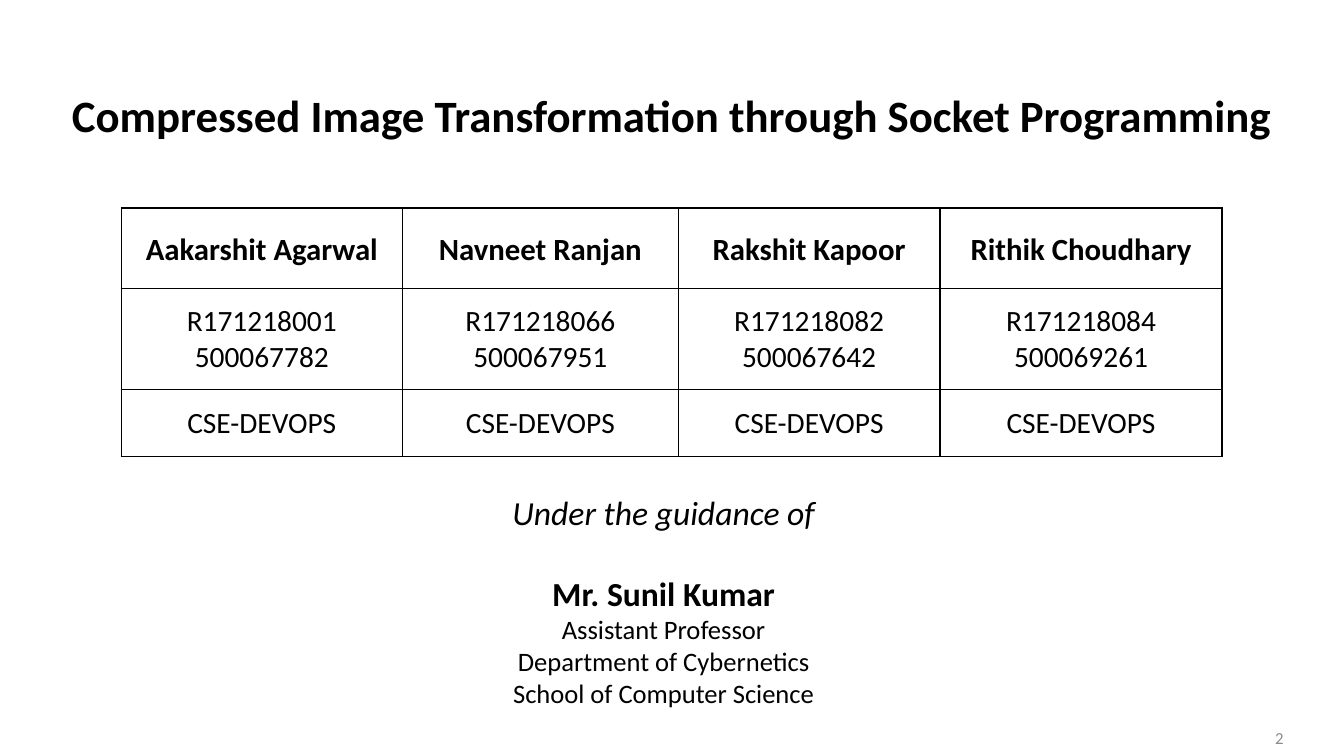
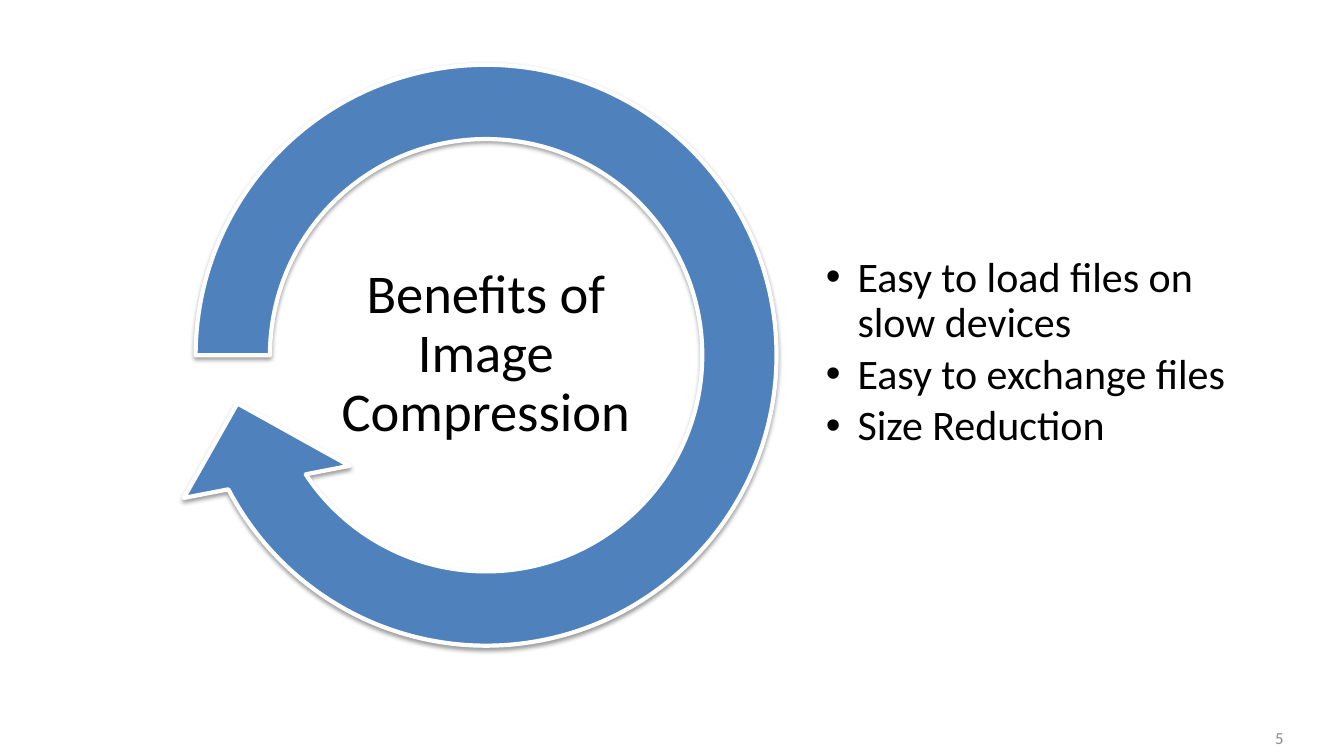
from lxml import etree
from pptx import Presentation
from pptx import util as u
from pptx.dml import color
from pptx.enum import shapes, text
from pptx.oxml import ns

FONT = "Calibri"
BLACK, WHITE, GREY, BLUE = "000000", "FFFFFF", "8C8C8C", "4F81BD"
CENTER, LEFT, RIGHT = text.PP_ALIGN.CENTER, text.PP_ALIGN.LEFT, text.PP_ALIGN.RIGHT
TOP, MIDDLE = text.MSO_ANCHOR.TOP, text.MSO_ANCHOR.MIDDLE


def rgb(value):
    return color.RGBColor.from_string(value)


def child(parent, tag, **attributes):
    names = {name: str(value) for name, value in attributes.items()}
    return etree.SubElement(parent, ns.qn(tag), names)


def write(paragraph, content, size, align=CENTER, hue=BLACK, bold=False,
          italic=False, spacing=None, before=0, after=0):
    paragraph.alignment = align
    paragraph.space_before = u.Pt(before)
    paragraph.space_after = u.Pt(after)
    if spacing:
        paragraph.line_spacing = spacing
    run = paragraph.add_run()
    run.text = content
    font = run.font
    font.name, font.size, font.bold, font.italic = FONT, u.Pt(size), bold, italic
    font.color.rgb = rgb(hue)


def next_paragraph(frame, index):
    return frame.paragraphs[0] if index == 0 else frame.add_paragraph()


def add_text_box(slide, left, top, width, height, anchor=MIDDLE, inset=None):
    box = slide.shapes.add_textbox(u.Pt(left), u.Pt(top), u.Pt(width), u.Pt(height))
    frame = box.text_frame
    frame.word_wrap = True
    frame.vertical_anchor = anchor
    if inset is not None:
        frame.margin_left = frame.margin_right = u.Pt(inset)
        frame.margin_top = frame.margin_bottom = u.Pt(inset)
    return frame


def add_slide(presentation, number):
    """Blank slide with the shared page number."""
    slide = presentation.slides.add_slide(presentation.slide_layouts[6])
    frame = add_text_box(slide, 700, 512.5, 224, 29)
    write(frame.paragraphs[0], number, 12, RIGHT, GREY)
    return slide


def add_title(slide, content):
    frame = add_text_box(slide, 18, 36.5, 924, 90)
    write(frame.paragraphs[0], content, 32, bold=True)


def format_cell(cell):
    properties = cell._tc.get_or_add_tcPr()
    for side in ("a:lnL", "a:lnR", "a:lnT", "a:lnB"):
        line = child(properties, side, w=u.Pt(1))
        child(child(line, "a:solidFill"), "a:srgbClr", val=BLACK)
    cell.fill.solid()
    cell.fill.fore_color.rgb = rgb(WHITE)


def add_student_table(slide, students, widths, heights):
    table = slide.shapes.add_table(
        len(heights), len(widths), u.Pt(86.5), u.Pt(148.5),
        u.Pt(sum(widths)), u.Pt(sum(heights))).table
    table.first_row = table.horz_banding = False
    for row, height in zip(table.rows, heights):
        row.height = u.Pt(height)
    for column, (width, student) in enumerate(zip(widths, students)):
        table.columns[column].width = u.Pt(width)
        name, roll, identity, branch = student
        for row, lines in enumerate(([name], [roll, identity], [branch])):
            cell = table.cell(row, column)
            format_cell(cell)
            header = row == 0
            cell.vertical_anchor = TOP if header else MIDDLE
            for index, line in enumerate(lines):
                write(next_paragraph(cell.text_frame, index), line,
                      22 if header else 21, bold=header,
                      spacing=1.5 if header else None)


def add_guidance(slide):
    frame = add_text_box(slide, 110, 348, 728, 163, TOP)
    lines = [("Under the guidance of", 24, {"italic": True}),
             ("Mr. Sunil Kumar", 24, {"bold": True, "before": 29}),
             ("Assistant Professor", 19, {}),
             ("Department of Cybernetics", 19, {}),
             ("School of Computer Science", 19, {})]
    for index, (content, size, style) in enumerate(lines):
        write(next_paragraph(frame, index), content, size, **style)


def add_circular_arrow(slide, left, top, size):
    arrow = slide.shapes.add_shape(shapes.MSO_SHAPE.CIRCULAR_ARROW, u.Pt(left),
                                   u.Pt(top), u.Pt(size), u.Pt(size))
    for index, value in enumerate((0.11, 11.42, 90, 108, 0.125)):
        arrow.adjustments[index] = value
    arrow.fill.solid()
    arrow.fill.fore_color.rgb = rgb(BLUE)
    arrow.line.color.rgb = rgb(WHITE)
    arrow.line.width = u.Pt(3)
    # Soft shadow straight below
    arrow.shadow.inherit = False
    effects = arrow._element.spPr.find(ns.qn("a:effectLst"))
    shadow = child(effects, "a:outerShdw", blurRad=u.Pt(3.1), dist=u.Pt(1.6),
                   dir=90 * 60000, rotWithShape=0)
    child(child(shadow, "a:srgbClr", val=BLACK), "a:alpha", val=38000)


def add_bullets(slide, items):
    frame = add_text_box(slide, 588, 155.5, 289.5, 193, inset=2)
    for index, item in enumerate(items):
        paragraph = next_paragraph(frame, index)
        properties = paragraph._p.get_or_add_pPr()
        properties.set("marL", str(u.Pt(22.5)))
        properties.set("indent", str(-u.Pt(22.5)))
        child(properties, "a:buFont", typeface="Arial")
        child(properties, "a:buChar", char="•")
        write(paragraph, item, 30, LEFT, spacing=0.9, after=4.5)


def main():
    presentation = Presentation()
    presentation.slide_width, presentation.slide_height = u.Pt(960), u.Pt(540)

    # Project and team
    slide = add_slide(presentation, "2")
    add_title(slide, "Compressed Image Transformation through Socket Programming")
    students = [
        ("Aakarshit Agarwal", "R171218001", "500067782", "CSE-DEVOPS"),
        ("Navneet Ranjan", "R171218066", "500067951", "CSE-DEVOPS"),
        ("Rakshit Kapoor", "R171218082", "500067642", "CSE-DEVOPS"),
        ("Rithik Choudhary", "R171218084", "500069261", "CSE-DEVOPS"),
    ]
    add_student_table(slide, students, (201, 197, 187, 201.5), (57.5, 72.5, 47.5))
    add_guidance(slide)

    # Benefits
    slide = add_slide(presentation, "5")
    add_circular_arrow(slide, 106, 12.5, 482.5)
    add_bullets(slide, ["Easy to load files on slow devices",
                        "Easy to exchange files", "Size Reduction"])
    frame = add_text_box(slide, 212.5, 186.5, 269, 134.5, inset=2)
    write(frame.paragraphs[0], "Benefits of Image Compression", 39, spacing=0.9)

    presentation.save("out.pptx")


if __name__ == "__main__":
    main()
